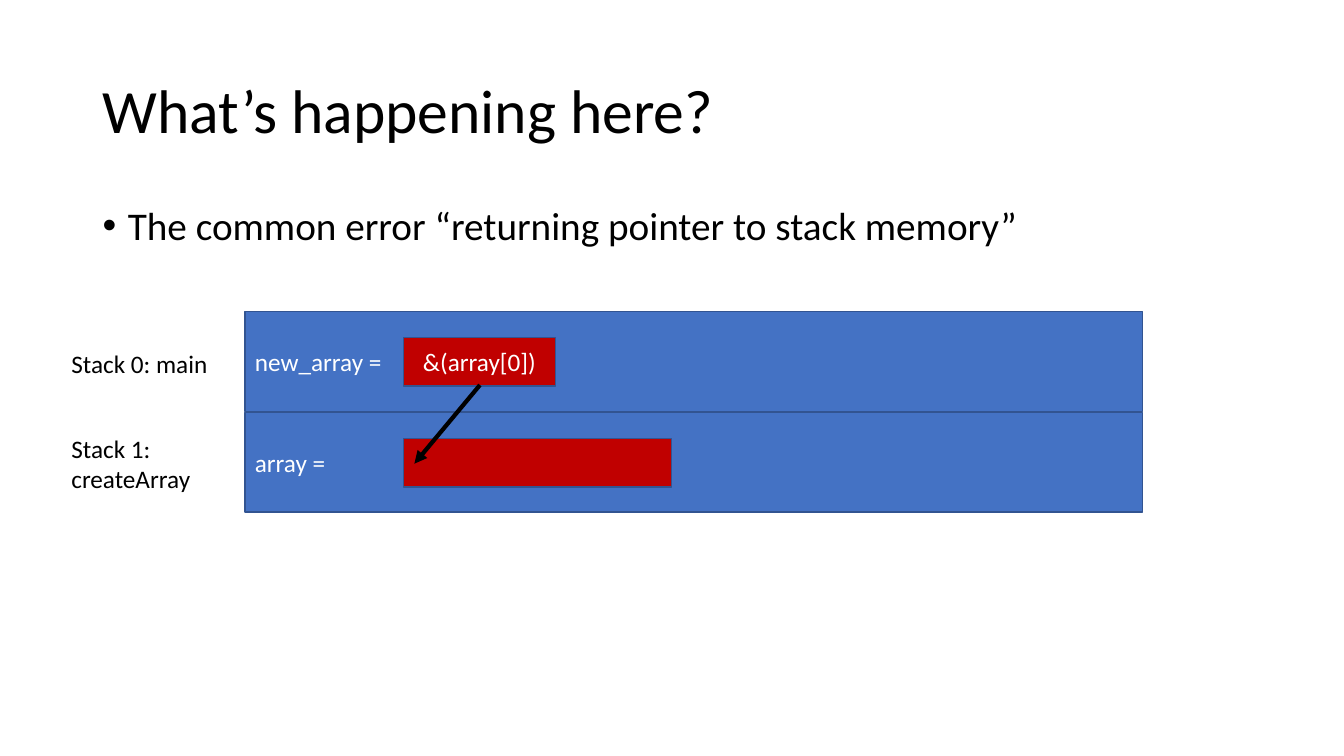
from lxml.etree import SubElement
from pptx import Presentation
from pptx.dml.color import RGBColor
from pptx.enum.shapes import MSO_CONNECTOR, MSO_SHAPE
from pptx.enum.text import MSO_ANCHOR, PP_ALIGN
from pptx.oxml.ns import qn
from pptx.util import Inches, Pt


def color(value):
    return RGBColor.from_string(value)


class StackPage:
    font = "Calibri"
    ink = "000000"
    light = "FFFFFF"
    frame_color = "4472C4"
    value_color = "C00000"
    outline = "325491"

    def __init__(self, deck):
        self.page = deck.slides.add_slide(deck.slide_layouts[5])

    def add_text(self, box, text, size, ink, align=PP_ALIGN.LEFT, anchor=MSO_ANCHOR.MIDDLE):
        frame = box.text_frame
        frame.word_wrap = True
        frame.vertical_anchor = anchor
        para = frame.paragraphs[0]
        para.alignment = align
        span = para.add_run()
        span.text = text
        span.font.name = self.font
        span.font.size = Pt(size)
        span.font.color.rgb = color(ink)
        return para

    def title(self, text, left, top, width, height):
        box = self.page.shapes.title
        box.left, box.top = Inches(left), Inches(top)
        box.width, box.height = Inches(width), Inches(height)
        self.add_text(box, text, 44, self.ink).line_spacing = 0.9

    def label(self, text, left, top, width, height, size=18):
        box = self.page.shapes.add_textbox(
            Inches(left), Inches(top), Inches(width), Inches(height))
        return self.add_text(box, text, size, self.ink, anchor=MSO_ANCHOR.TOP)

    def bullet(self, text, left, top, width, height):
        para = self.label(text, left, top, width, height, 28)
        para.line_spacing = 0.9
        para.space_before = Pt(10)
        properties = para._p.get_or_add_pPr()
        properties.set("marL", str(Inches(0.25)))
        properties.set("indent", str(-Inches(0.25)))
        SubElement(properties, qn("a:buFont"), typeface="Arial")
        SubElement(properties, qn("a:buChar"), char="•")

    def block(self, text, left, top, width, height, fill, align=PP_ALIGN.LEFT):
        box = self.page.shapes.add_shape(
            MSO_SHAPE.RECTANGLE,
            Inches(left), Inches(top), Inches(width), Inches(height))
        box.shadow.inherit = False
        box.fill.solid()
        box.fill.fore_color.rgb = color(fill)
        box.line.color.rgb = color(self.outline)
        box.line.width = Pt(1)
        if text:
            self.add_text(box, text, 18, self.light, align)

    def arrow(self, start, end):
        pointer = self.page.shapes.add_connector(
            MSO_CONNECTOR.STRAIGHT, *map(Inches, start + end))
        pointer.line.color.rgb = color(self.ink)
        pointer.line.width = Pt(3)
        properties = pointer._element.spPr
        SubElement(properties.find(qn("a:ln")), qn("a:tailEnd"), type="triangle")
        SubElement(properties, qn("a:effectLst"))


def main():
    deck = Presentation()
    deck.slide_width, deck.slide_height = Inches(13.33), Inches(7.5)
    page = StackPage(deck)
    page.title("What’s happening here?", 0.92, 0.4, 11.5, 1.45)
    page.bullet("The common error “returning pointer to stack memory”",
                0.92, 2, 11.5, 4.76)

    stack_frames = [
        ("Stack 0: main", 3.41, 0.4, "new_array =", "&(array[0])", 1.51),
        ("Stack 1: createArray", 4.25, 0.71, "array =", "", 2.66),
    ]
    for index, (name, name_top, name_height, variable, value, width) in enumerate(stack_frames):
        top = 3.09 + index
        page.block(variable, 2.43, top, 8.9, 0.99, page.frame_color)
        page.block(value, 4, top + 0.26, width, 0.48, page.value_color, PP_ALIGN.CENTER)
        page.label(name, 0.61, name_top, 1.93, name_height)

    page.arrow((4.76, 3.82), (4.11, 4.6))
    deck.save("out.pptx")


if __name__ == "__main__":
    main()
